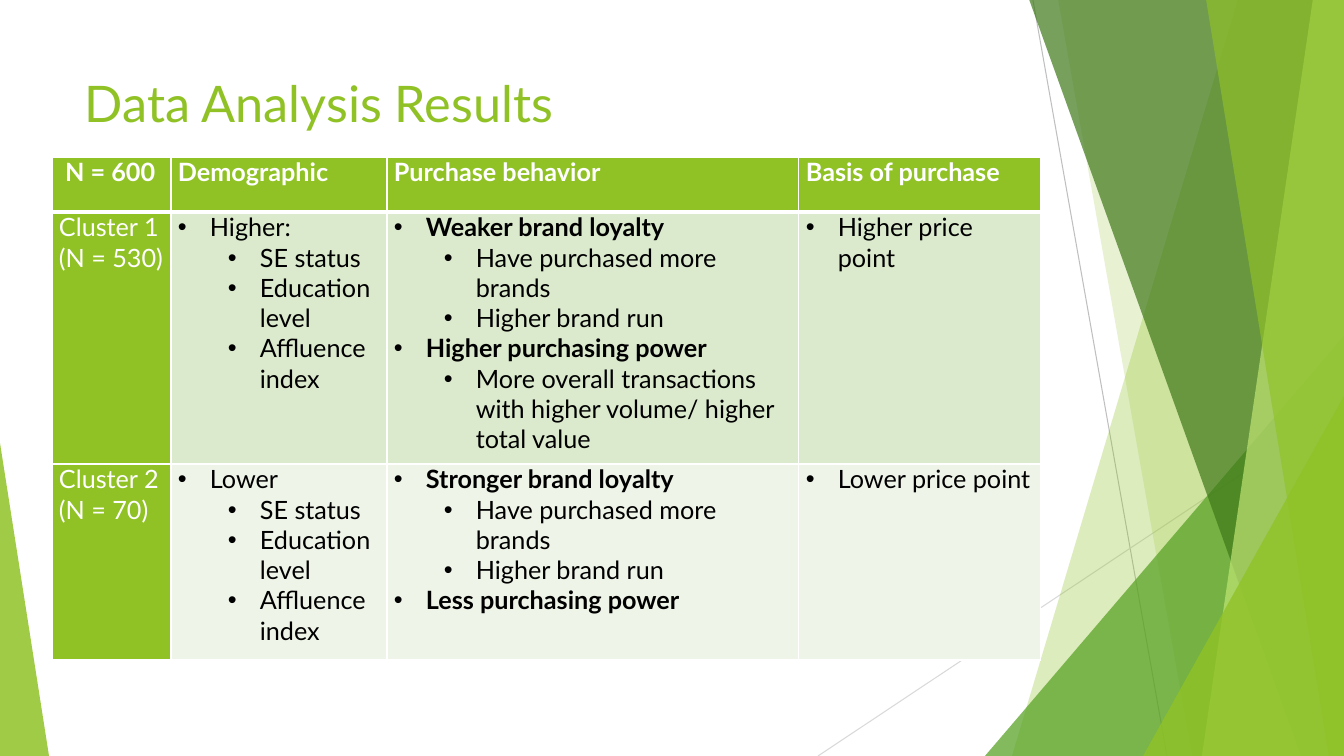
from dataclasses import dataclass

from lxml import etree
from pptx import Presentation
from pptx.dml.color import RGBColor as RGB
from pptx.enum.shapes import MSO_CONNECTOR as LINE, MSO_SHAPE as SHAPE
from pptx.oxml.ns import qn
from pptx.util import Pt

PX = 9144000 / 1008  # EMU per pixel


@dataclass(frozen=True)
class Theme:
    """Colours, font and type sizes of the slide."""
    font: str = "Lato"
    title: int = 36
    body: int = 18
    green: str = "90C226"
    leaf: str = "54A021"
    forest: str = "3F7819"
    lime: str = "C0E474"
    white: str = "FFFFFF"
    black: str = "000000"
    bands: tuple = ("DBE9CD", "EEF4E8")
    rules: tuple = ("BFBFBF", "D9D9D9")


T = Theme()


def px(*values):
    """Turn pixels into a list of EMU lengths."""
    return [round(v * PX) for v in values]


def style(p, size, color, bold=False):
    """Format the runs of a paragraph."""
    for r in p.runs:
        f = r.font
        f.name, f.size, f.bold = T.font, Pt(size), bold
        f.color.rgb = RGB.from_string(color)


prs = Presentation()
prs.slide_width, prs.slide_height = px(1344, 756)
s = prs.slides.add_slide(prs.slide_layouts[6])

# Thin rules behind the facets
for ends, color in zip([(1033, 0, 1167, 756), (1344, 406, 818, 756)], T.rules):
    rule = s.shapes.add_connector(LINE.STRAIGHT, *px(*ends))
    rule.line.width = Pt(0.75)
    rule.line.color.rgb = RGB.from_string(color)
    etree.SubElement(rule._element.spPr, qn("a:effectLst"))

# Facets: ("band", (top x, bottom x)) runs to the right edge,
# ("triangle", (left, top, width, height, apex)) is a preset shape
facets = [
    ("band", (1238, 1012), T.green, 30),
    ("band", (1058, 1192), T.green, 20),
    ("triangle", (985, 336, 359, 420, 1), T.leaf, 72),
    ("band", (1029, 1301), T.forest, 70),
    ("band", (1313, 1202), T.lime, 70),
    ("band", (1206, 1329), T.green, 65),
    ("triangle", (1143, 396, 201, 360, 1), T.green, 80),
    ("triangle", (0, 443, 49, 313, 0), T.green, 85),
]
for kind, geometry, color, alpha in facets:
    if kind == "band":
        top, bottom = geometry
        fb = s.shapes.build_freeform(top, -1, scale=PX)
        fb.add_line_segments([(1344, -1), (1344, 756), (bottom, 756)], close=True)
        sp = fb.convert_to_shape()
    else:
        *box, apex = geometry
        sp = s.shapes.add_shape(SHAPE.ISOSCELES_TRIANGLE, *px(*box))
        sp.adjustments[0] = apex
    sp.shadow.inherit = False
    sp.line.fill.background()
    sp.fill.solid()
    sp.fill.fore_color.rgb = RGB.from_string(color)
    clr = sp._element.spPr.find(qn("a:solidFill"))[0]
    etree.SubElement(clr, qn("a:alpha"), val=str(alpha * 1000))

# Title
tf = s.shapes.add_textbox(*px(75, 67, 948, 145)).text_frame
tf.word_wrap = True
tf.text = "Data Analysis Results"
style(tf.paragraphs[0], T.title, T.green)

# Cluster table: body cells hold (level, text) bullets
traits = [(1, "SE status"), (1, "Education level"), (1, "Affluence index")]
brands = "Have purchased more brands"
brand_run = "Higher brand run"
rows = [
    ["\u00a0N = 600", "Demographic", "Purchase behavior", "Basis of purchase"],
    ["Cluster 1 (N = 530)",
     [(0, "Higher:")] + traits,
     [(0, "Weaker brand loyalty"), (1, brands), (1, brand_run),
      (0, "Higher purchasing power"),
      (1, "More overall transactions with higher volume/ higher total value")],
     [(0, "Higher price point")]],
    ["Cluster 2 (N = 70)",
     [(0, "Lower")] + traits,
     [(0, "Stronger brand loyalty"), (1, brands), (1, brand_run),
      (0, "Less purchasing power")],
     [(0, "Lower price point")]],
]
col_widths = px(119, 216, 412, 242)
row_heights = px(55, 252, 196)
table = s.shapes.add_table(3, 4, *px(52, 157, 989, 503)).table
table.first_row = table.horz_banding = False
for col, width in zip(table.columns, col_widths):
    col.width = width
for row, height in zip(table.rows, row_heights):
    row.height = height

indents = px(32, 82)
hanging = px(-32)[0]
for i, row in enumerate(rows):
    for j, content in enumerate(row):
        cell = table.cell(i, j)
        cell.margin_left, cell.margin_right, cell.margin_top, cell.margin_bottom = px(7, 7, 0, 0)
        label = isinstance(content, str)
        cell.fill.solid()
        cell.fill.fore_color.rgb = RGB.from_string(T.green if label else T.bands[i - 1])

        # White borders, heavier between the header and the body
        tcPr = cell._tc.get_or_add_tcPr()
        heavy = {0: "lnB", 1: "lnT"}.get(i)
        for k, side in enumerate(("lnL", "lnR", "lnT", "lnB")):
            ln = etree.Element(qn("a:" + side), w=str(Pt(3 if side == heavy else 1)))
            fill = etree.SubElement(ln, qn("a:solidFill"))
            etree.SubElement(fill, qn("a:srgbClr"), val=T.white)
            tcPr.insert(k, ln)

        tf = cell.text_frame
        if label:
            tf.text = content
            style(tf.paragraphs[0], T.body, T.white, bold=i == 0)
            continue
        for n, (level, text) in enumerate(content):
            p = tf.add_paragraph() if n else tf.paragraphs[0]
            p.text, p.level = text, level
            style(p, T.body, T.black, bold=j == 2 and level == 0)
            pPr = p._p.get_or_add_pPr()
            pPr.set("marL", str(indents[level]))
            pPr.set("indent", str(hanging))
            etree.SubElement(pPr, qn("a:buFont"), typeface="Arial")
            etree.SubElement(pPr, qn("a:buChar"), char="•")

prs.save("out.pptx")
